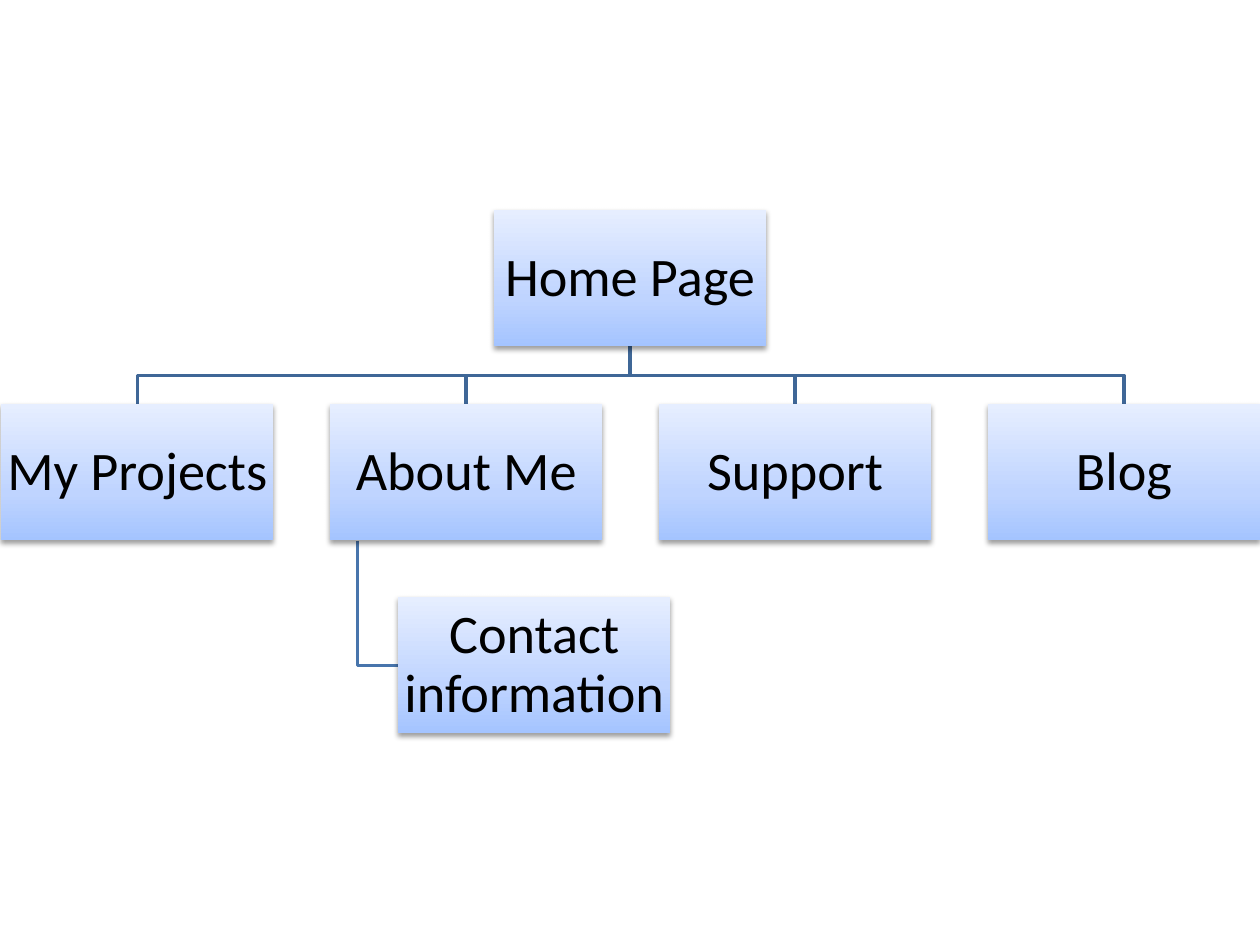
"""Build a site map slide as a tree of page boxes."""
from copy import deepcopy
from dataclasses import dataclass

from lxml.etree import SubElement
from pptx import Presentation
from pptx.dml.color import RGBColor
from pptx.enum.text import MSO_ANCHOR, PP_ALIGN
from pptx.enum.shapes import MSO_SHAPE
from pptx.oxml.ns import qn
from pptx.util import Inches, Pt

BOX_WIDTH, BOX_HEIGHT = 2.16, 1.08
ROW_TOP, COLUMN_STEP = 3.21, 2.61
GRADIENT = ((0, "A4C4FF"), (0.35, "BFD4FF"), (1, "E6EEFF"))


@dataclass(frozen=True)
class Page:
    label: str
    left: float
    top: float

    @property
    def center(self) -> float:
        return self.left + BOX_WIDTH / 2

    @property
    def middle(self) -> float:
        return self.top + BOX_HEIGHT / 2

    @property
    def bottom(self) -> float:
        return self.top + BOX_HEIGHT


def color(value: str) -> RGBColor:
    return RGBColor.from_string(value)


def write(frame, text: str, *, size: float, font: str, ink: str) -> None:
    frame.word_wrap = True
    frame.vertical_anchor = MSO_ANCHOR.MIDDLE
    frame.margin_left = frame.margin_right = Inches(0.02)
    frame.margin_top = frame.margin_bottom = Inches(0.02)
    paragraph = frame.paragraphs[0]
    paragraph.alignment = PP_ALIGN.CENTER
    paragraph.line_spacing = 0.9
    run = paragraph.add_run()
    run.text = text
    run.font.size, run.font.name = Pt(size), font
    run.font.color.rgb = color(ink)


def paint_gradient(shape) -> None:
    shape.fill.gradient()
    shape.fill.gradient_angle = 90
    stop_list = shape.element.spPr.find(".//" + qn("a:gsLst"))
    stop_list.insert(1, deepcopy(stop_list[0]))
    for stop, (position, value) in zip(shape.fill.gradient_stops, GRADIENT):
        stop.position = position
        stop.color.rgb = color(value)


def cast_shadow(shape) -> None:
    shape.shadow.inherit = False
    effects = shape.element.spPr.find(qn("a:effectLst"))
    shadow = SubElement(effects, qn("a:outerShdw"), blurRad=str(Pt(3.1)),
                        dist=str(Pt(1.6)), dir="5400000", rotWithShape="0")
    tint = SubElement(shadow, qn("a:srgbClr"), val="000000")
    SubElement(tint, qn("a:alpha"), val="38000")


def draw_page(shapes, page: Page) -> None:
    box = shapes.add_shape(MSO_SHAPE.RECTANGLE, Inches(page.left), Inches(page.top),
                           Inches(BOX_WIDTH), Inches(BOX_HEIGHT))
    paint_gradient(box)
    box.line.fill.background()
    cast_shadow(box)
    write(box.text_frame, page.label, size=31, font="Calibri", ink="000000")


def draw_branch(shapes, points: list[tuple[float, float]], ink: str) -> None:
    start, *rest = [(Inches(x), Inches(y)) for x, y in points]
    builder = shapes.build_freeform(*start)
    builder.add_line_segments(rest, close=False)
    branch = builder.convert_to_shape()
    branch.fill.background()
    branch.line.color.rgb = color(ink)
    branch.line.width = Pt(2)
    branch.shadow.inherit = False


def main() -> None:
    deck = Presentation()
    deck.slide_width, deck.slide_height = Inches(10), Inches(7.5)
    shapes = deck.slides.add_slide(deck.slide_layouts[6]).shapes

    home = Page("Home Page", 3.92, 1.67)
    sections = [Page(label, 0.01 + column * COLUMN_STEP, ROW_TOP) for column, label
                in enumerate(("My Projects", "About Me", "Support", "Blog"))]
    about = sections[1]
    contact = Page("Contact information", 3.16, 4.74)

    fork = (home.bottom + ROW_TOP) / 2
    for section in sections:
        draw_branch(shapes, [(home.center, home.bottom), (home.center, fork),
                             (section.center, fork), (section.center, section.top)],
                    "3F6797")
    stem = about.left + BOX_WIDTH / 10
    draw_branch(shapes, [(stem, about.bottom), (stem, contact.middle),
                         (contact.left, contact.middle)], "4875AC")

    for page in (home, *sections, contact):
        draw_page(shapes, page)
    deck.save("out.pptx")


main()
